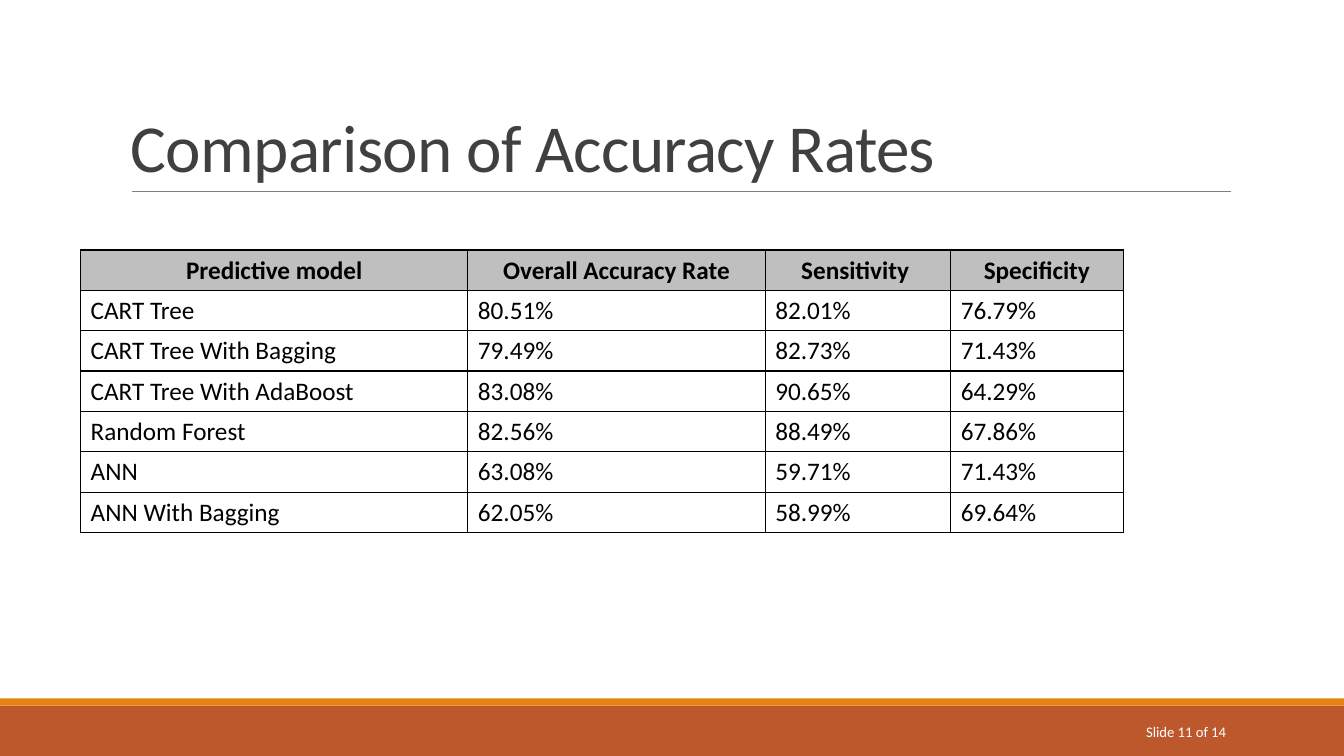
from lxml import etree
from pptx import Presentation
from pptx.dml.color import RGBColor
from pptx.enum.shapes import MSO_CONNECTOR, MSO_SHAPE
from pptx.enum.text import MSO_ANCHOR, PP_ALIGN
from pptx.oxml import parse_xml
from pptx.oxml.ns import nsdecls, qn
from pptx.util import Inches, Pt

RECT, LINE = MSO_SHAPE.RECTANGLE, MSO_CONNECTOR.STRAIGHT
LEFT, CENTER, RIGHT = PP_ALIGN.LEFT, PP_ALIGN.CENTER, PP_ALIGN.RIGHT
MIDDLE, BOTTOM = MSO_ANCHOR.MIDDLE, MSO_ANCHOR.BOTTOM
RUST = RGBColor(0xBD, 0x58, 0x2C)
ORANGE = RGBColor(0xE4, 0x83, 0x12)
RULE = RGBColor(0x80, 0x80, 0x80)
DARK = RGBColor(0x40, 0x40, 0x40)
SILVER = RGBColor(0xBF, 0xBF, 0xBF)
BLACK = RGBColor(0, 0, 0)
WHITE = RGBColor(0xFF, 0xFF, 0xFF)


def style(para, size, color, align, bold=False):
    para.alignment = align
    font = para.font
    font.name, font.size, font.bold = "Calibri", Pt(size), bold
    font.color.rgb = color


def label(text, box, size, color, align, anchor):
    frame = slide.shapes.add_textbox(*map(Inches, box)).text_frame
    frame.word_wrap = True
    frame.vertical_anchor = anchor
    para = frame.paragraphs[0]
    para.text = text
    style(para, size, color, align)
    return para


deck = Presentation()
deck.slide_width, deck.slide_height = Inches(13.33), Inches(7.5)
slide = deck.slides.add_slide(deck.slide_layouts[6])

# Footer bands
for top, height, color in [(7, 0.5, RUST), (6.93, 0.07, ORANGE)]:
    band = slide.shapes.add_shape(
        RECT, 0, Inches(top), deck.slide_width, Inches(height))
    band.shadow.inherit = False
    band.fill.solid()
    band.fill.fore_color.rgb = color
    band.line.fill.background()

# Title and its rule
rule = slide.shapes.add_connector(
    LINE, Inches(1.31), Inches(1.9), Inches(12.21), Inches(1.9))
rule.line.color.rgb = RULE
rule.line.width = Pt(0.5)
etree.SubElement(rule._element.spPr, qn("a:effectLst"))

title = label("Comparison of Accuracy Rates", (1.2, 0.31, 11, 1.59),
              48, DARK, LEFT, BOTTOM)
title.line_spacing = 0.85
title.runs[0].font._element.set("spc", "-50")

# Slide number
label("Slide 11 of 14", (10.83, 7.06, 1.43, 0.4), 10.5, WHITE, RIGHT, MIDDLE)

# Accuracy table
rows = [
    ("Predictive model", "Overall Accuracy Rate", "Sensitivity ", "Specificity"),
    ("CART Tree", "80.51%", "82.01%", "76.79%"),
    ("CART Tree With Bagging", "79.49%", "82.73%", "71.43%"),
    ("CART Tree With AdaBoost", "83.08%", "90.65%", "64.29%"),
    ("Random Forest", "82.56%", "88.49%", "67.86%"),
    ("ANN", "63.08%", "59.71%", "71.43%"),
    ("ANN With Bagging", "62.05%", "58.99%", "69.64%"),
]
widths = [3.84, 2.95, 1.84, 1.71]
table = slide.shapes.add_table(
    len(rows), len(widths), Inches(0.8), Inches(2.48),
    Inches(sum(widths)), Inches(0.4 * len(rows))).table
table.horz_banding = False
for col, width in zip(table.columns, widths):
    col.width = Inches(width)

for r, row in enumerate(rows):
    head = r == 0
    for c, text in enumerate(row):
        cell = table.cell(r, c)
        cell.text = text
        style(cell.text_frame.paragraphs[0], 18, BLACK,
              CENTER if head else LEFT, head)
        props = cell._tc.get_or_add_tcPr()
        for side in "LRTB":
            props.append(parse_xml(
                f'<a:ln{side} {nsdecls("a")} w="{Pt(1)}"><a:solidFill>'
                f'<a:srgbClr val="{BLACK}"/></a:solidFill></a:ln{side}>'))
        if head:
            cell.fill.solid()
            cell.fill.fore_color.rgb = SILVER
        else:
            cell.fill.background()

deck.save("out.pptx")
